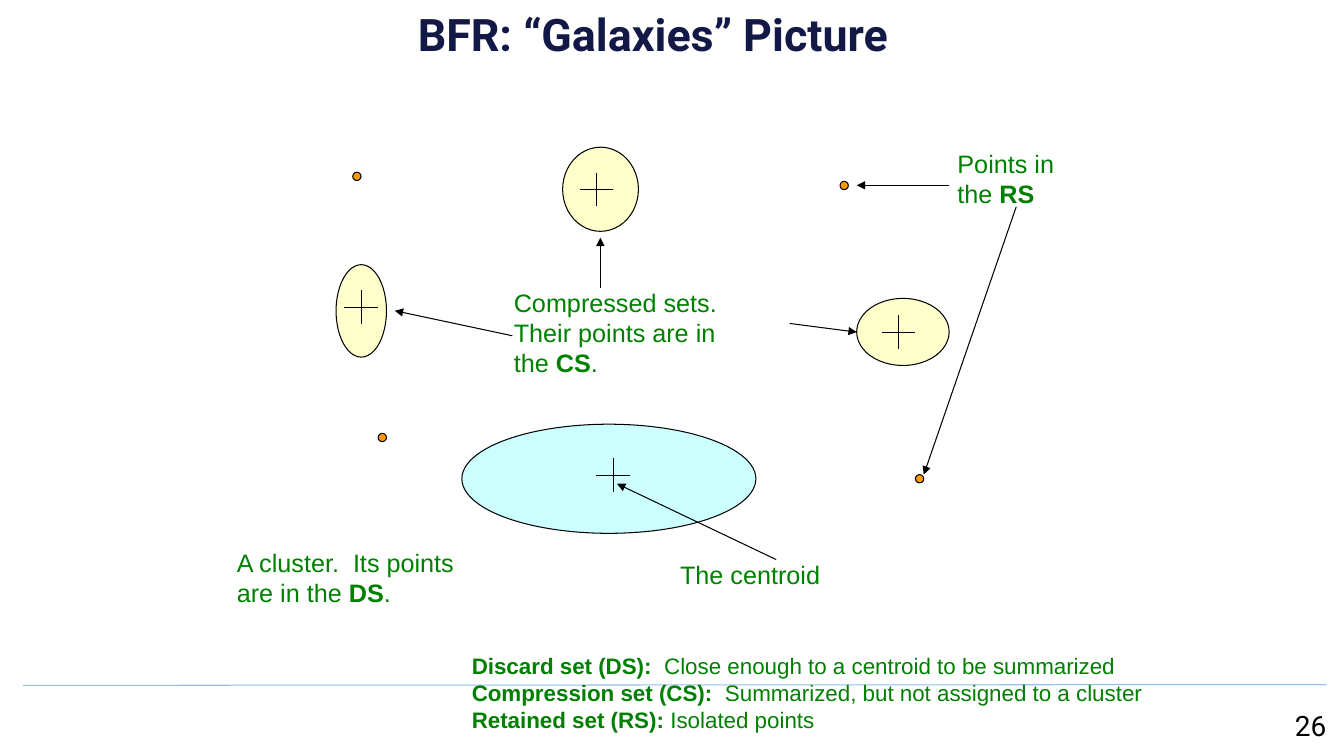
from dataclasses import dataclass

from lxml.etree import SubElement
from pptx import Presentation
from pptx.dml.color import RGBColor
from pptx.enum.shapes import MSO_CONNECTOR, MSO_SHAPE
from pptx.enum.text import MSO_ANCHOR as Anchor, PP_ALIGN as Align
from pptx.oxml.ns import qn
from pptx.slide import Slide
from pptx.util import Cm, Pt

COLORS = {
    "ink": "000000",
    "title": "131946",
    "label": "008000",
    "rule": "93BFEB",
    "cluster": "CCFFFF",
    "compressed": "FFFF99",
    "point": "FF9900",
}
CROSS_ARM = 0.42
POINT_SIZE = 0.21


@dataclass(frozen=True)
class Run:
    text: str
    bold: bool = False


@dataclass(frozen=True)
class Label:
    left: float
    top: float
    width: float
    height: float
    lines: list[list[Run]]
    size: int = 18
    font: str = "Arial"
    color: str = "label"
    align: Align = Align.LEFT
    anchor: Anchor = Anchor.TOP
    wrap: bool = False


@dataclass(frozen=True)
class Oval:
    left: float
    top: float
    width: float
    height: float
    fill: str
    opacity: int = 100


@dataclass(frozen=True)
class Line:
    x1: float
    y1: float
    x2: float
    y2: float
    color: str = "ink"
    arrow: bool = False


def rgb(name: str) -> RGBColor:
    return RGBColor.from_string(COLORS[name])


def draw_label(s: Slide, label: Label) -> None:
    box = s.shapes.add_textbox(
        Cm(label.left), Cm(label.top), Cm(label.width), Cm(label.height)
    )
    tf = box.text_frame
    tf.word_wrap = label.wrap
    tf.vertical_anchor = label.anchor
    for i, line in enumerate(label.lines):
        p = tf.add_paragraph() if i else tf.paragraphs[0]
        p.alignment = label.align
        for run in line:
            r = p.add_run()
            r.text = run.text
            r.font.name = label.font
            r.font.size = Pt(label.size)
            r.font.bold = run.bold
            r.font.color.rgb = rgb(label.color)


def draw_oval(s: Slide, oval: Oval) -> None:
    sp = s.shapes.add_shape(
        MSO_SHAPE.OVAL, Cm(oval.left), Cm(oval.top), Cm(oval.width), Cm(oval.height)
    )
    sp.shadow.inherit = False
    sp.fill.solid()
    sp.fill.fore_color.rgb = rgb(oval.fill)
    sp.line.color.rgb = rgb("ink")
    sp.line.width = Pt(0.75)
    if oval.opacity < 100:
        color = sp._element.spPr.find(qn("a:solidFill"))[0]
        SubElement(color, qn("a:alpha"), val=str(oval.opacity * 1000))


def draw_line(s: Slide, line: Line) -> None:
    cn = s.shapes.add_connector(
        MSO_CONNECTOR.STRAIGHT, Cm(line.x1), Cm(line.y1), Cm(line.x2), Cm(line.y2)
    )
    cn.line.color.rgb = rgb(line.color)
    cn.line.width = Pt(0.75)
    sp_pr = cn._element.spPr
    if line.arrow:
        SubElement(sp_pr.find(qn("a:ln")), qn("a:tailEnd"), type="triangle")
    SubElement(sp_pr, qn("a:effectLst"))


def draw_cross(s: Slide, x: float, y: float) -> None:
    draw_line(s, Line(x, y - CROSS_ARM, x, y + CROSS_ARM))
    draw_line(s, Line(x - CROSS_ARM, y, x + CROSS_ARM, y))


RULE = Line(0.58, 17.27, 33.43, 17.25, color="rule")

OVALS = [
    Oval(11.64, 10.69, 7.41, 2.75, "cluster"),
    Oval(8.47, 6.67, 1.27, 2.33, "compressed", 50),
    Oval(21.59, 7.52, 2.33, 1.69, "compressed", 50),
    Oval(14.18, 3.71, 1.91, 2.12, "compressed", 50),
]
POINTS = [(8.89, 4.34), (9.53, 10.92), (23.07, 11.96), (21.17, 4.57)]
CENTROIDS = [(15.45, 11.97), (9.1, 7.74), (22.65, 8.37), (15.03, 4.77)]

ARROWS = [
    Line(19.56, 14.1, 15.55, 12.19, arrow=True),
    Line(12.91, 8.46, 9.95, 7.83, arrow=True),
    Line(15.13, 7.26, 15.13, 5.99, arrow=True),
    Line(19.9, 8.15, 21.59, 8.37, arrow=True),
    Line(23.92, 4.67, 21.59, 4.67, arrow=True),
    Line(25.61, 5.21, 23.28, 11.96, arrow=True),
]

LABELS = [
    Label(1.22, 0.05, 30.48, 3.18, [[Run("BFR: “Galaxies” Picture", True)]],
          size=32, font="Roboto", color="title", align=Align.CENTER, wrap=True),
    Label(30.2, 16.59, 3.48, 2.24, [[Run("26")]], size=20, font="Roboto",
          color="ink", align=Align.RIGHT, anchor=Anchor.BOTTOM, wrap=True),
    Label(5.72, 13.67, 6.05, 1.8, [
        [Run("A cluster.  Its points")],
        [Run("are in the "), Run("DS", True), Run(".")],
    ]),
    Label(16.89, 13.97, 4.06, 1.02, [[Run("The centroid")]]),
    Label(12.7, 7.11, 5.69, 2.57, [
        [Run("Compressed sets.")],
        [Run("Their points are in")],
        [Run("the "), Run("CS", True), Run(".")],
    ]),
    Label(23.88, 3.61, 2.97, 1.8, [
        [Run("Points in")],
        [Run("the "), Run("RS", True)],
    ]),
    Label(11.64, 16.31, 17.78, 2.31, [
        [Run("Discard set (DS):", True),
         Run("  Close enough to a centroid to be summarized")],
        [Run("Compression set (CS):", True),
         Run("  Summarized, but not assigned to a cluster")],
        [Run("Retained set (RS):", True), Run(" Isolated points")],
    ], size=16, wrap=True),
]


def main() -> None:
    prs = Presentation()
    prs.slide_width, prs.slide_height = Cm(33.87), Cm(19.05)
    s = prs.slides.add_slide(prs.slide_layouts[6])
    draw_line(s, RULE)
    for oval in OVALS:
        draw_oval(s, oval)
    for left, top in POINTS:
        draw_oval(s, Oval(left, top, POINT_SIZE, POINT_SIZE, "point"))
    for x, y in CENTROIDS:
        draw_cross(s, x, y)
    for arrow in ARROWS:
        draw_line(s, arrow)
    for label in LABELS:
        draw_label(s, label)
    prs.save("out.pptx")


if __name__ == "__main__":
    main()
